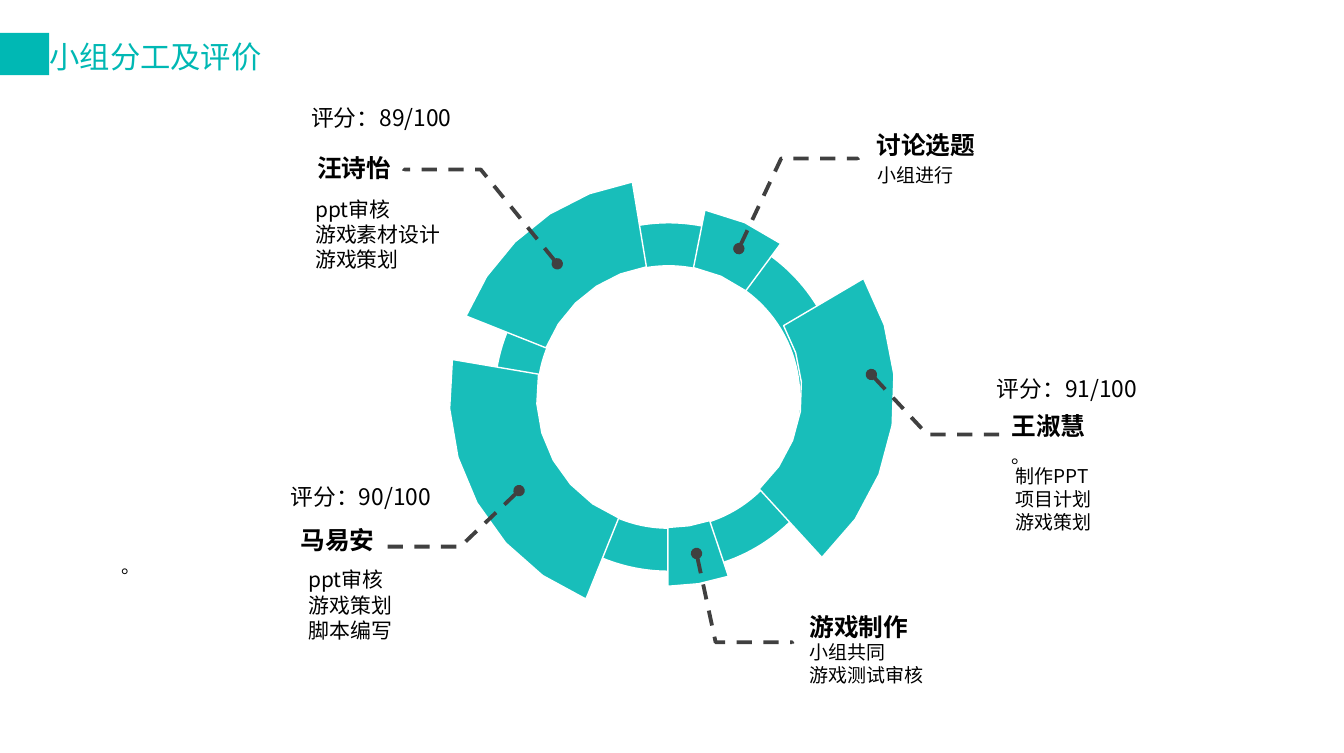
from math import ceil, cos, radians, sin

from lxml.etree import SubElement
from pptx import Presentation
from pptx.dml.color import RGBColor
from pptx.enum.dml import MSO_LINE_DASH_STYLE as DASH
from pptx.enum.shapes import MSO_SHAPE as SHAPE
from pptx.enum.text import MSO_AUTO_SIZE as AUTO_SIZE, PP_ALIGN as ALIGN
from pptx.oxml.ns import qn
from pptx.util import Inches, Pt

FONT = "Noto Sans CJK SC"
TEAL = RGBColor(0x00, 0xB8, 0xB4)
RING_TEAL = RGBColor(0x18, 0xBE, 0xBA)
WHITE = RGBColor(0xFF, 0xFF, 0xFF)
BLACK = RGBColor(0x00, 0x00, 0x00)
GRAY = RGBColor(0x40, 0x40, 0x40)

RING_LEFT, RING_TOP, RING_SIZE = 3.62, 1.63, 2.55
HOLE_RADIUS = 0.96
CENTER = (4.89, 2.9)
ARC_STEP = 13

# Centre, outer radius, start angle and end angle, clockwise from the right.
WEDGES = [
    (CENTER, 1.39, 71.4, 90),
    (CENTER, 1.39, -78.7, -53.5),
    (CENTER, 1.6, 112, 189.7),
    (CENTER, 1.59, 201.7, 260.6),
    ((4.91, 2.87), 1.64, -30.5, 47.5),
]

LEADERS = [
    [(5.41, 1.82), (5.72, 1.16), (6.28, 1.16)],
    [(5.1, 4.05), (5.24, 4.7), (5.8, 4.7)],
    [(3.8, 3.59), (3.37, 4), (2.82, 4)],
    [(4.08, 1.93), (3.52, 1.24), (2.96, 1.24)],
    [(6.38, 2.74), (6.79, 3.18), (7.33, 3.18)],
]

HEADINGS = [
    (6.32, 0.9, 1.27, "讨论选题", ALIGN.LEFT),
    (5.83, 4.43, 1.27, "游戏制作", ALIGN.LEFT),
    (1.24, 3.79, 1.6, "马易安", ALIGN.RIGHT),
    (1.36, 1.07, 1.6, "汪诗怡", ALIGN.RIGHT),
    (7.31, 2.96, 1.56, "王淑慧", ALIGN.LEFT),
]

NOTES = [
    (6.33, 1.15, 2.13, 10, ["小组进行"]),
    (5.83, 4.64, 2.15, 10, ["小组共同", "游戏测试审核"]),
    (0.79, 4.01, 2.06, 10, ["。"]),
    (7.34, 3.35, 2.05, 10, ["制作PPT", "项目计划", "游戏策划"]),
    (7.31, 3.2, 2, 10, ["。"]),
]

UNWRAPPED_NOTES = [
    (2.21, 1.39, 1.16, 11, ["ppt审核", "游戏素材设计", "游戏策划"]),
    (2.16, 4.1, 0.82, 11, ["ppt审核", "游戏策划", "脚本编写"]),
    (2.18, 0.71, 1.27, 12, ["评分：89/100"]),
    (2.03, 3.48, 1.27, 12, ["评分：90/100"]),
    (7.2, 2.69, 1.27, 12, ["评分：91/100"]),
]


def add_text(slide, left, top, width, lines, size, color=BLACK, bold=False,
             align=ALIGN.LEFT, wrap=True):
    """Add a text box with one paragraph per line and return it."""
    height = 0.1 + len(lines) * size / 60
    box = slide.shapes.add_textbox(Inches(left), Inches(top), Inches(width), Inches(height))
    frame = box.text_frame
    frame.word_wrap = wrap
    frame.auto_size = AUTO_SIZE.SHAPE_TO_FIT_TEXT
    frame.text = "\n".join(lines)
    for paragraph in frame.paragraphs:
        paragraph.alignment = align
        font = paragraph.font
        font.size, font.bold, font.name = Pt(size), bold, FONT
        font.color.rgb = color
        SubElement(paragraph._p.pPr.find(qn("a:defRPr")), qn("a:ea"), typeface=FONT)
    return box


def add_outline(slide, points, close):
    """Add a freeform through points given in inches."""
    corners = [(Inches(x), Inches(y)) for x, y in points]
    builder = slide.shapes.build_freeform(*corners[0])
    builder.add_line_segments(corners[1:], close=close)
    shape = builder.convert_to_shape()
    shape.shadow.inherit = False
    return shape


def paint_ring_part(shape):
    """Give a part of the ring its teal fill and thin white line."""
    shape.shadow.inherit = False
    shape.fill.solid()
    shape.fill.fore_color.rgb = RING_TEAL
    shape.line.color.rgb = WHITE
    shape.line.width = Pt(0.75)


def arc_points(center, radius, start, end):
    """Return points along an arc, at most one step apart."""
    steps = ceil(abs(end - start) / ARC_STEP)
    angles = [radians(start + (end - start) * step / steps) for step in range(steps + 1)]
    return [(center[0] + radius * cos(a), center[1] + radius * sin(a)) for a in angles]


def add_ring(slide):
    """Add the base ring and the wedges that stand out from it."""
    ring = slide.shapes.add_shape(
        SHAPE.DONUT, Inches(RING_LEFT), Inches(RING_TOP), Inches(RING_SIZE), Inches(RING_SIZE))
    ring.adjustments[0] = 0.5 - HOLE_RADIUS / RING_SIZE
    paint_ring_part(ring)
    for center, radius, start, end in WEDGES:
        outer = arc_points(center, radius, start, end)
        inner = arc_points(center, HOLE_RADIUS, end, start)
        paint_ring_part(add_outline(slide, outer + inner, close=True))


def add_leader(slide, points):
    """Add a dashed leader line with a dot at its start and a tiny hook at its end."""
    end_x, end_y = points[-1]
    shape = add_outline(slide, points + [(end_x, end_y + 0.01)], close=False)
    shape.fill.background()
    shape.line.color.rgb = GRAY
    shape.line.width = Pt(2)
    shape.line.dash_style = DASH.DASH
    SubElement(shape.line._get_or_add_ln(), qn("a:headEnd"), type="oval")


def add_title(slide):
    """Add the title and the block that runs in from the slide's left edge."""
    block = slide.shapes.add_shape(
        SHAPE.RECTANGLE, Inches(-1.06), Inches(0.24), Inches(1.42), Inches(0.31))
    block.shadow.inherit = False
    block.fill.solid()
    block.fill.fore_color.rgb = TEAL
    block.line.fill.background()
    title = add_text(slide, -0.12, 0.23, 2.52, ["小组分工及评价"], 16, TEAL, align=ALIGN.CENTER)
    title.height = Inches(0.47)
    frame = title.text_frame
    frame.auto_size = AUTO_SIZE.NONE
    frame.margin_left = frame.margin_right = frame.margin_top = frame.margin_bottom = 0
    frame.paragraphs[0].line_spacing = 1.2


def main():
    """Build the slide and save it."""
    presentation = Presentation()
    presentation.slide_width, presentation.slide_height = Inches(9.84), Inches(5.51)
    slide = presentation.slides.add_slide(presentation.slide_layouts[6])
    add_ring(slide)
    for left, top, width, text, align in HEADINGS:
        add_text(slide, left, top, width, [text], 13, bold=True, align=align)
    for left, top, width, size, lines in NOTES:
        add_text(slide, left, top, width, lines, size)
    for points in LEADERS:
        add_leader(slide, points)
    add_title(slide)
    for left, top, width, size, lines in UNWRAPPED_NOTES:
        add_text(slide, left, top, width, lines, size, wrap=False)
    presentation.save("out.pptx")


if __name__ == "__main__":
    main()
